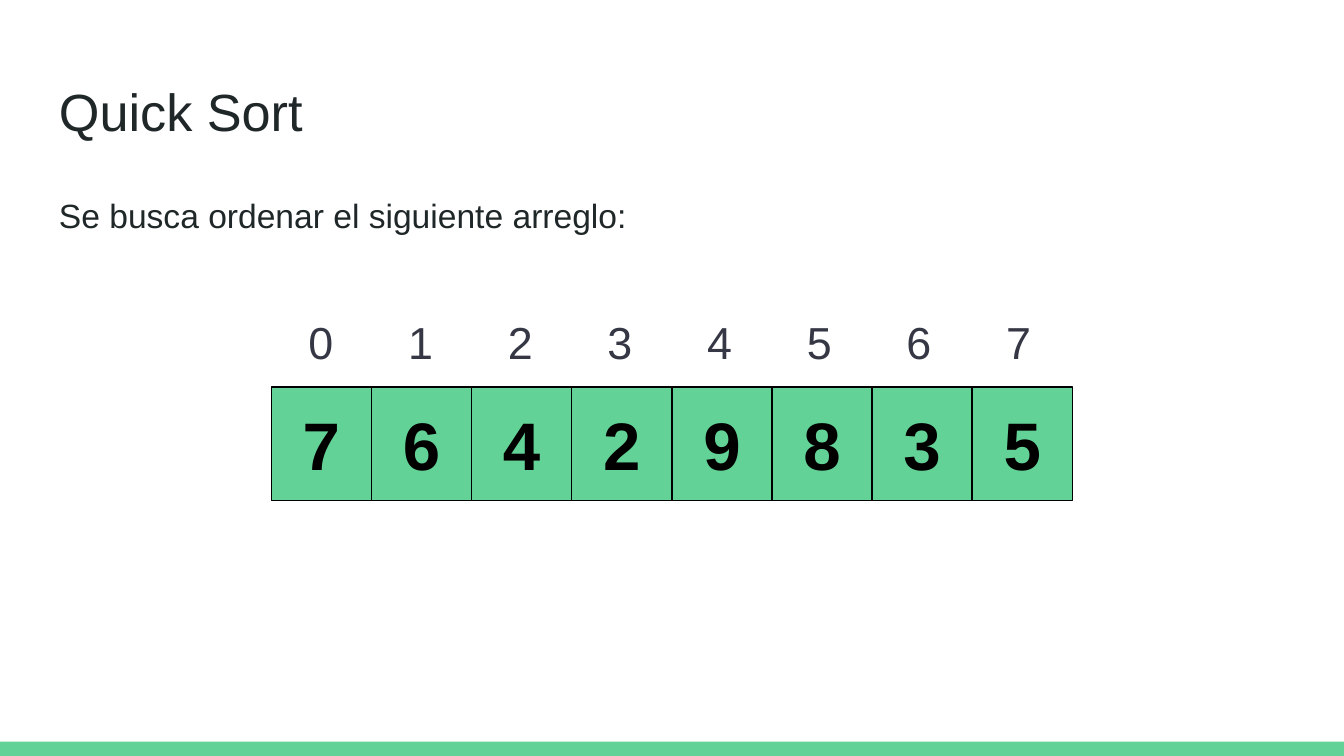
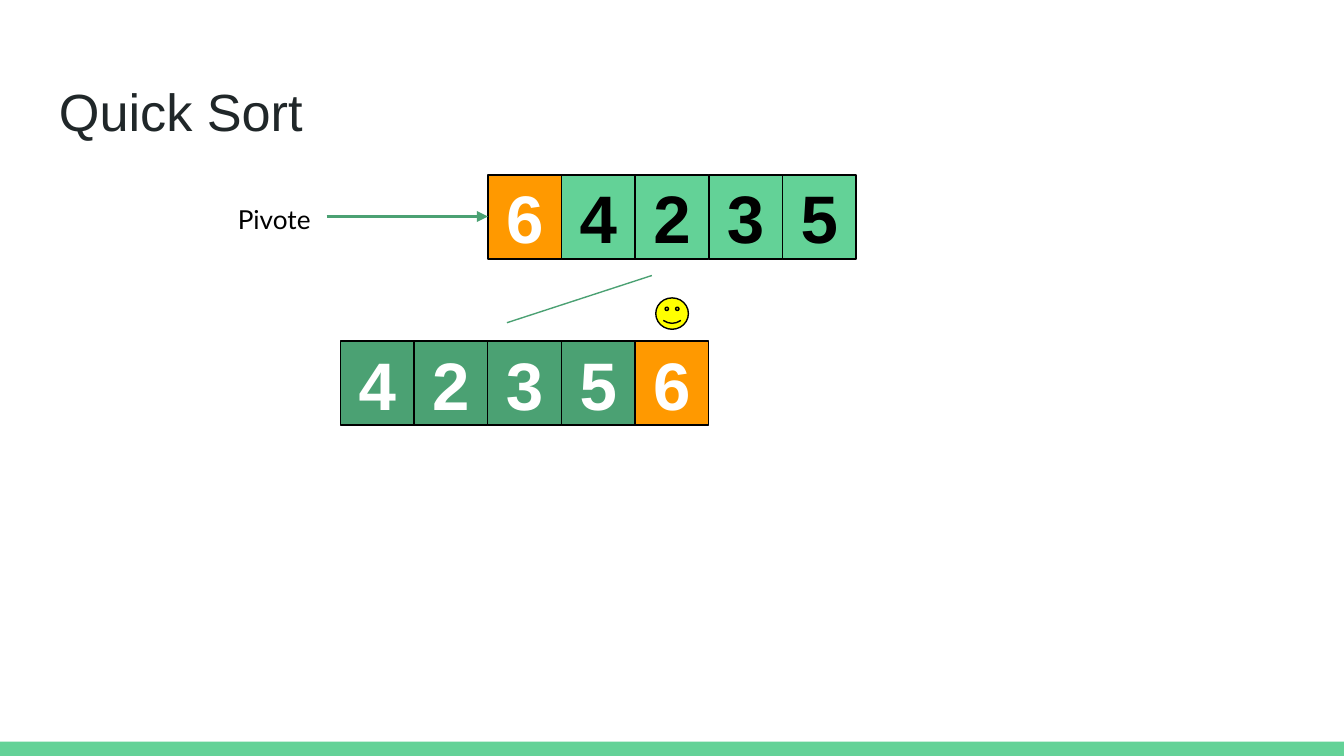
from dataclasses import dataclass
from typing import Optional

from lxml import etree
from pptx import Presentation
from pptx.dml.color import RGBColor
from pptx.enum.shapes import MSO_CONNECTOR, MSO_SHAPE
from pptx.enum.text import MSO_ANCHOR, PP_ALIGN
from pptx.oxml.ns import qn
from pptx.util import Pt

RECT, SMILEY = MSO_SHAPE.RECTANGLE, MSO_SHAPE.SMILEY_FACE
STRAIGHT = MSO_CONNECTOR.STRAIGHT
LEFT, CENTER = PP_ALIGN.LEFT, PP_ALIGN.CENTER
TOP, MIDDLE, BOTTOM = MSO_ANCHOR.TOP, MSO_ANCHOR.MIDDLE, MSO_ANCHOR.BOTTOM


@dataclass(frozen=True)
class Theme:
    green: str = "63D297"
    dark_green: str = "4BA173"
    orange: str = "FF9900"
    yellow: str = "FFFF00"
    black: str = "000000"
    white: str = "FFFFFF"
    heading: str = "202729"
    index: str = "353744"
    font: str = "Arial"
    label_font: str = "Lato"
    title_size: float = 28
    subtitle_size: float = 18
    value_size: float = 36
    index_size: float = 24
    label_size: float = 14
    thin: float = 0.75
    thick: float = 1.5
    inset: float = 7.2


@dataclass(frozen=True)
class Box:
    x: float
    y: float
    w: float
    h: float

    def lengths(self) -> tuple:
        return Pt(self.x), Pt(self.y), Pt(self.w), Pt(self.h)


@dataclass(frozen=True)
class ArrayRow:
    values: str
    first: Box
    fill: str
    color: str
    pivot: Optional[int] = None


T = Theme()
SLIDE_W, SLIDE_H, BAND_H = 720, 405, 7.7
TITLE = Box(24.5, 35.3, 671, 45.4)
SUBTITLE = Box(24.5, 97.2, 671, 45.4)
INDEXES = Box(145.4, 159.1, 430, 45.4)
INDEX_START, INDEX_PITCH = 19.4, 53.4

UNSORTED = ArrayRow("76429835", Box(145.4, 207.3, 53.64, 60.9), T.green, T.black)
BEFORE = ArrayRow("64235", Box(261.4, 93.7, 39.45, 45.1), T.green, T.black, 0)
AFTER = ArrayRow("42356", Box(182.4, 182.7, 39.45, 45.1), T.dark_green, T.white, 4)


def rgb(color: str) -> RGBColor:
    return RGBColor.from_string(color)


def write(shape, text: str, *, size: float, color: str, font: str = T.font,
          bold: bool = False, align=LEFT, anchor=TOP):
    tf = shape.text_frame
    tf.word_wrap = True
    tf.vertical_anchor = anchor
    tf.margin_left = tf.margin_right = tf.margin_top = tf.margin_bottom = Pt(T.inset)
    p = tf.paragraphs[0]
    p.alignment = align
    r = p.add_run()
    r.text = text
    r.font.size, r.font.name, r.font.bold = Pt(size), font, bold
    r.font.color.rgb = rgb(color)
    return p


def add_text(s, box: Box, text: str, **style):
    return write(s.shapes.add_textbox(*box.lengths()), text, **style)


def add_shape(s, kind, box: Box, fill: str, line: Optional[str] = None):
    sp = s.shapes.add_shape(kind, *box.lengths())
    sp.shadow.inherit = False
    sp.fill.solid()
    sp.fill.fore_color.rgb = rgb(fill)
    if line:
        sp.line.color.rgb = rgb(line)
        sp.line.width = Pt(T.thin)
    else:
        sp.line.fill.background()
    return sp


def add_line(s, start: tuple, end: tuple, width: float, arrow: bool = False) -> None:
    cx = s.shapes.add_connector(STRAIGHT, *map(Pt, start + end))
    cx.line.color.rgb = rgb(T.dark_green)
    cx.line.width = Pt(width)
    if arrow:
        etree.SubElement(cx.line._get_or_add_ln(), qn("a:tailEnd"), type="triangle")
    etree.SubElement(cx._element.spPr, qn("a:effectLst"))


def add_row(s, row: ArrayRow) -> None:
    b = row.first
    for i, value in enumerate(row.values):
        fill, color = (T.orange, T.white) if i == row.pivot else (row.fill, row.color)
        sp = add_shape(s, RECT, Box(b.x + i * b.w, b.y, b.w, b.h), fill, T.black)
        write(sp, value, size=T.value_size, color=color, bold=True,
              align=CENTER, anchor=MIDDLE)


def add_indexes(s, count: int) -> None:
    text = "".join(f"\t{i}" for i in range(count))
    p = add_text(s, INDEXES, text, size=T.index_size, color=T.index, anchor=BOTTOM)
    tabs = etree.SubElement(p._p.get_or_add_pPr(), qn("a:tabLst"))
    for i in range(count):
        pos = Pt(INDEX_START + i * INDEX_PITCH)
        etree.SubElement(tabs, qn("a:tab"), pos=str(int(pos)), algn="ctr")


def new_slide(prs):
    s = prs.slides.add_slide(prs.slide_layouts[6])
    s.background.fill.solid()
    s.background.fill.fore_color.rgb = rgb(T.white)
    add_shape(s, RECT, Box(0, SLIDE_H - BAND_H, SLIDE_W, BAND_H), T.green)
    add_text(s, TITLE, "Quick Sort", size=T.title_size, color=T.heading)
    return s


def build_problem(prs) -> None:
    s = new_slide(prs)
    add_row(s, UNSORTED)
    add_indexes(s, len(UNSORTED.values))
    add_text(s, SUBTITLE, "Se busca ordenar el siguiente arreglo:",
             size=T.subtitle_size, color=T.heading)


def build_partition(prs) -> None:
    s = new_slide(prs)
    add_row(s, BEFORE)
    add_text(s, Box(118.8, 101.5, 56.2, 29.5), "Pivote", size=T.label_size,
             color=T.black, font=T.label_font, align=CENTER)
    add_line(s, (175, 116), (261.4, 116), T.thick, arrow=True)
    add_line(s, (349.2, 147.6), (271.6, 172.9), T.thin)
    add_row(s, AFTER)
    add_shape(s, SMILEY, Box(351.3, 159.6, 17.5, 16.8), T.yellow, T.black)


def main() -> None:
    prs = Presentation()
    prs.slide_width, prs.slide_height = Pt(SLIDE_W), Pt(SLIDE_H)
    build_problem(prs)
    build_partition(prs)
    prs.save("out.pptx")


if __name__ == "__main__":
    main()
